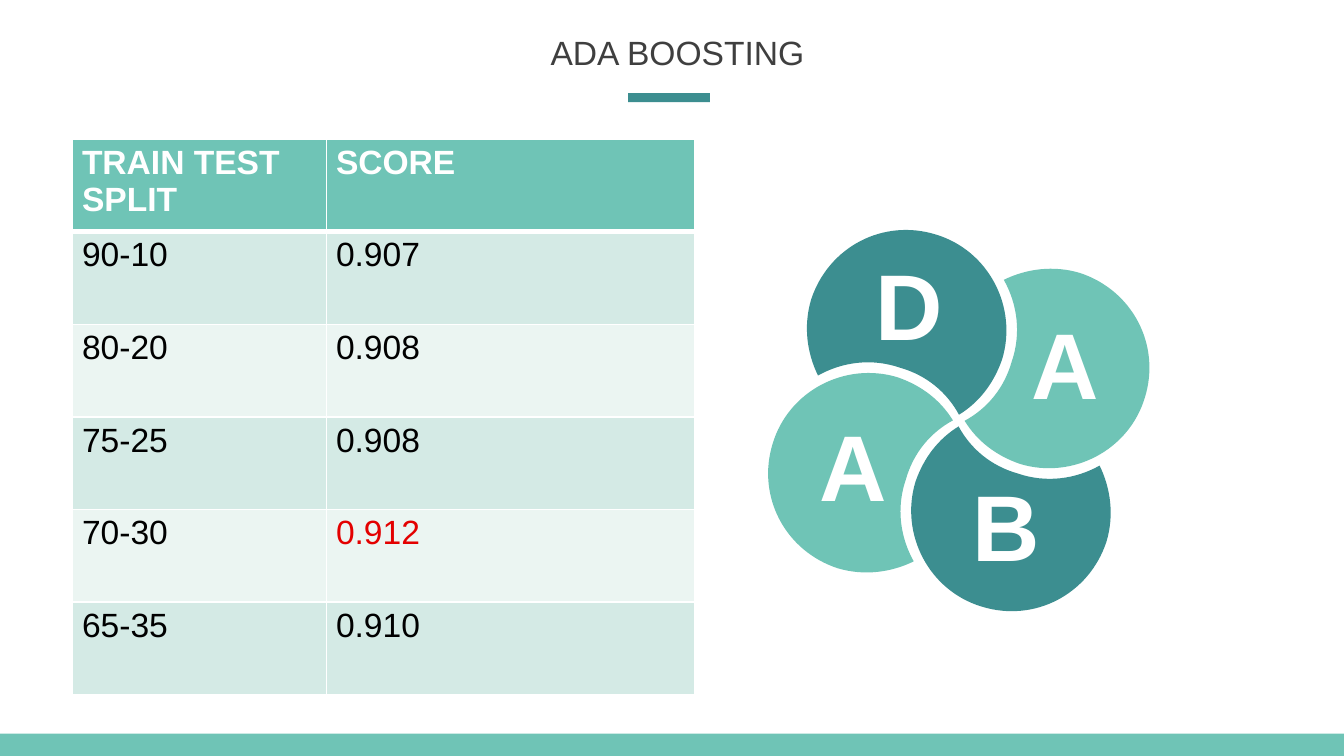
from lxml import etree
from pptx import Presentation
from pptx.dml.color import RGBColor
from pptx.enum.shapes import MSO_SHAPE
from pptx.enum.text import MSO_ANCHOR, MSO_AUTO_SIZE, PP_ALIGN
from pptx.oxml.ns import qn
from pptx.util import Cm, Pt

RECTANGLE = MSO_SHAPE.RECTANGLE
TOP = MSO_ANCHOR.TOP
FIXED_SIZE = MSO_AUTO_SIZE.NONE
CENTER = PP_ALIGN.CENTER
LEFT = PP_ALIGN.LEFT
TITLE_ONLY = 5

FONT = "Arial"
TEAL, MINT = "3C8E90", "6FC4B6"
WHITE, BLACK, GREY, RED = "FFFFFF", "000000", "3F3F3F", "E30000"
BANDS = ("D4EAE5", "EBF5F2")

SCORES = [
    ("TRAIN TEST SPLIT", "SCORE"),
    ("90-10", "0.907"),
    ("80-20", "0.908"),
    ("75-25", "0.908"),
    ("70-30", "0.912"),
    ("65-35", "0.910"),
]
BEST_SCORE = "0.912"

# Pinwheel in cm: its centre, and the way from there to the middle of the first petal
PINWHEEL = (18.12, 7.95)
FIRST_ARM = (-0.94, -1.89)
FIRST_ANGLE = 323.2

# One petal in cm: a start, then two control points and an end for each curve
PETAL_START = (1.33, 2.65)
PETAL_CURVES = [
    (1.65, 3.07), (1.76, 3.56), (1.69, 4.03),
    (2.14, 4.07), (2.57, 3.95), (2.97, 3.68),
    (3.8, 3.07), (4, 1.88), (3.38, 1.04),
    (2.77, 0.2), (1.62, 0.01), (0.76, 0.61),
    (0.34, 0.92), (0.09, 1.37), (0, 1.84),
    (0.52, 1.91), (1.01, 2.18), PETAL_START,
]

# Letter, left and top of its box in cm, petal colour; clockwise
PETALS = [
    ("D", 15.93, 4.55, TEAL),
    ("A", 18.87, 5.66, MINT),
    ("B", 17.76, 8.72, TEAL),
    ("A", 14.87, 7.6, MINT),
]


def color(code):
    return RGBColor.from_string(code)


def paint(shape, code):
    shape.shadow.inherit = False
    shape.fill.solid()
    shape.fill.fore_color.rgb = color(code)
    shape.line.fill.background()


def write(frame, text, size, code, bold=False, align=LEFT):
    para = frame.paragraphs[0]
    para.alignment = align
    span = para.add_run()
    span.text = text
    span.font.name = FONT
    span.font.size = Pt(size)
    span.font.bold = bold
    span.font.color.rgb = color(code)


def add_bar(page, left, top, width, height, code):
    bar = page.shapes.add_shape(RECTANGLE, Cm(left), Cm(top), Cm(width), Cm(height))
    paint(bar, code)


def add_title(page, text):
    box = page.shapes.title
    box.left, box.top, box.width, box.height = Cm(9.26), Cm(0.51), Cm(7.09), Cm(0.97)
    frame = box.text_frame
    frame.auto_size = FIXED_SIZE
    frame.vertical_anchor = TOP
    frame.margin_left = frame.margin_right = Cm(0.18)
    frame.margin_top = frame.margin_bottom = Cm(0.1)
    write(frame, text, 18, GREY, align=CENTER)


def set_borders(cell, widths):
    properties = cell._tc.get_or_add_tcPr()
    for position, (side, width) in enumerate(widths.items()):
        line = etree.Element(qn(f"a:ln{side}"), w=str(Pt(width)))
        fill = etree.SubElement(line, qn("a:solidFill"))
        etree.SubElement(fill, qn("a:srgbClr"), val=WHITE)
        properties.insert(position, line)


def add_score_table(page):
    widths, row_height = (Cm(4.8), Cm(6.96)), Cm(1.75)
    table = page.shapes.add_table(
        len(SCORES), len(widths), Cm(1.37), Cm(2.63), sum(widths), row_height * len(SCORES)
    ).table
    for column, width in zip(table.columns, widths):
        column.width = width
    for row, values in enumerate(SCORES):
        header = row == 0
        for column, value in enumerate(values):
            cell = table.cell(row, column)
            cell.margin_left = cell.margin_right = Cm(0.18)
            cell.margin_top = cell.margin_bottom = Cm(0.09)
            cell.fill.solid()
            cell.fill.fore_color.rgb = color(MINT if header else BANDS[(row - 1) % 2])
            set_borders(cell, {"L": 1, "R": 1, "T": 3 if row == 1 else 1, "B": 3 if header else 1})
            code = WHITE if header else RED if value == BEST_SCORE else BLACK
            write(cell.text_frame, value, 18, code, bold=header)


def curve_segments(shape):
    """Join every three straight segments into one cubic curve."""
    segments = list(shape._element.iter(qn("a:lnTo")))
    for start in range(0, len(segments), 3):
        curve = etree.Element(qn("a:cubicBezTo"))
        segments[start].addprevious(curve)
        for segment in segments[start:start + 3]:
            curve.append(segment[0])
            segment.getparent().remove(segment)


def add_petal(page, center, angle, code):
    points = [(Cm(x), Cm(y)) for x, y in [PETAL_START, *PETAL_CURVES]]
    builder = page.shapes.build_freeform(*points[0])
    builder.add_line_segments(points[1:], close=True)
    petal = builder.convert_to_shape()
    curve_segments(petal)
    petal.left = Cm(center[0]) - petal.width // 2
    petal.top = Cm(center[1]) - petal.height // 2
    petal.rotation = angle
    paint(petal, code)


def add_letter(page, letter, left, top):
    box = page.shapes.add_textbox(Cm(left), Cm(top), Cm(2.51), Cm(2.36))
    box.text_frame.word_wrap = True
    write(box.text_frame, letter, 50, WHITE, bold=True, align=CENTER)


def add_pinwheel(page):
    x, y = FIRST_ARM
    for turn, (_, _, _, code) in enumerate(PETALS):
        center = (PINWHEEL[0] + x, PINWHEEL[1] + y)
        add_petal(page, center, (FIRST_ANGLE + 90 * turn) % 360, code)
        # Quarter turn clockwise for the next petal
        x, y = -y, x
    for letter, left, top, _ in PETALS:
        add_letter(page, letter, left, top)


def main():
    deck = Presentation()
    deck.slide_width, deck.slide_height = Cm(25.4), Cm(14.29)
    page = deck.slides.add_slide(deck.slide_layouts[TITLE_ONLY])

    add_title(page, "ADA BOOSTING")
    add_pinwheel(page)

    # Footer band and accent under the title
    add_bar(page, 0, 13.87, 25.4, 0.42, MINT)
    add_bar(page, 11.87, 1.76, 1.55, 0.17, TEAL)

    add_score_table(page)

    deck.save("out.pptx")


if __name__ == "__main__":
    main()
